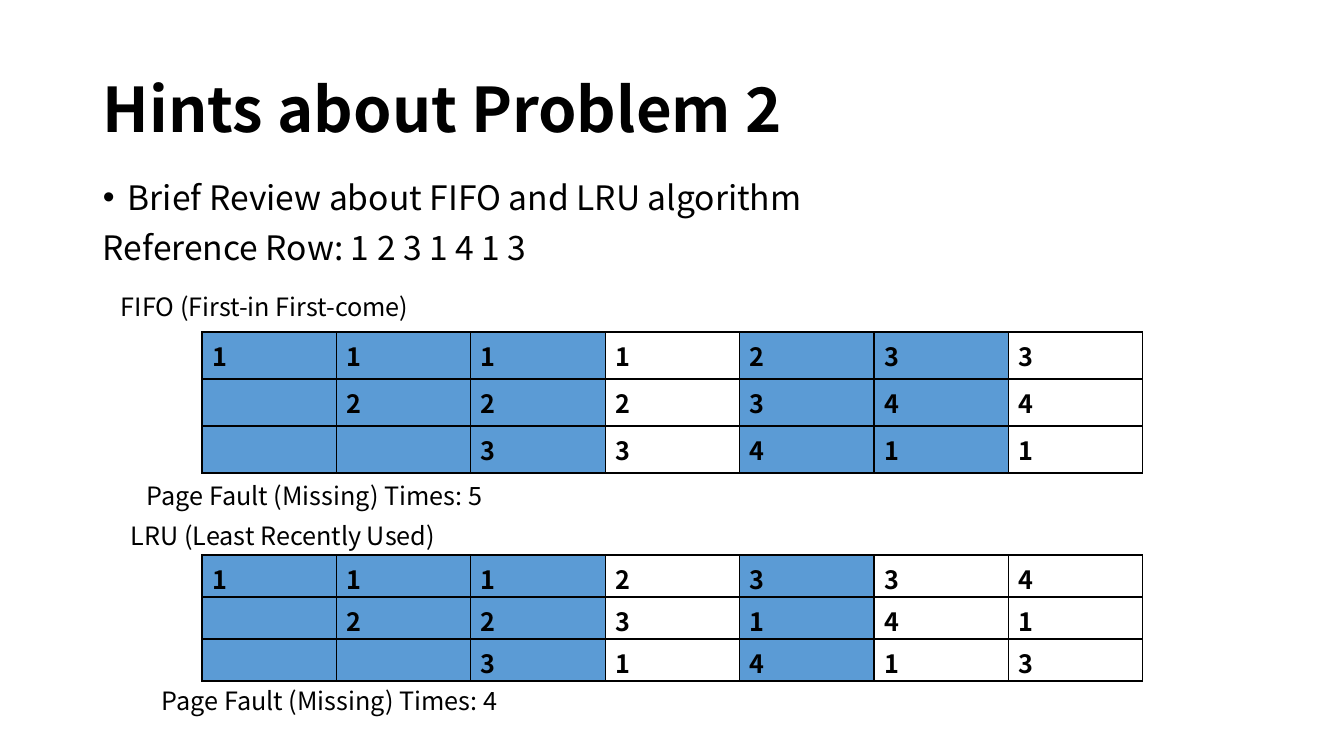
from dataclasses import dataclass

from lxml.etree import SubElement
from pptx import Presentation
from pptx.dml.color import RGBColor
from pptx.enum.text import MSO_ANCHOR as Anchor, MSO_AUTO_SIZE as Fit
from pptx.oxml.ns import qn
from pptx.util import Emu, Pt

BLACK = RGBColor(0x00, 0x00, 0x00)
BLUE = RGBColor(0x5B, 0x9B, 0xD5)
FONT = "Noto Sans CJK SC"
PX_PER_INCH = 100.8
LEFT, WIDTH = 202, 941


def px(n: int) -> Emu:
    return Emu(round(n * 914400 / PX_PER_INCH))


@dataclass
class Label:
    text: str
    left: int
    top: int


@dataclass
class Trace:
    """Frames after each reference; fault columns are shaded."""
    top: int
    row: int
    foot: int
    frames: list[str]
    faults: set[int]


LABELS = [
    Label("FIFO (First-in First-come)", 111, 286),
    Label("LRU (Least Recently Used)", 121, 515),
    Label("Page Fault (Missing) Times: 5", 137, 475),
    Label("Page Fault (Missing) Times: 4", 152, 680),
]
TRACES = [
    Trace(332, 47, 5, ["1111233", " 222344", "  33411"], {0, 1, 2, 4, 5}),
    Trace(555, 42, 0, ["1112334", " 223141", "  31413"], {0, 1, 2, 4}),
]


def style(para, size: int, bold: bool = False) -> None:
    font = para.font
    font.name, font.size, font.bold = FONT, Pt(size), bold
    font.color.rgb = BLACK


def add_box(slide, left: int, top: int, width: int, height: int):
    frame = slide.shapes.add_textbox(px(left), px(top), px(width), px(height)).text_frame
    frame.word_wrap = True
    return frame


def add_title(slide) -> None:
    frame = add_box(slide, 93, 40, 1159, 146)
    frame.vertical_anchor = Anchor.MIDDLE
    frame.text = "Hints about Problem 2"
    para = frame.paragraphs[0]
    para.line_spacing = 0.9
    style(para, 44, True)


def add_body(slide) -> None:
    frame = add_box(slide, 93, 176, 1159, 480)
    frame.text = "Brief Review about FIFO and LRU algorithm\nReference Row: 1 2 3 1 4 1 3"
    first, second = frame.paragraphs
    props = first._p.get_or_add_pPr()
    props.set("marL", str(px(25)))
    props.set("indent", str(-px(25)))
    SubElement(props, qn("a:buFont"), typeface="Arial")
    SubElement(props, qn("a:buChar"), char="•")
    second.space_before = Pt(10)
    for para in (first, second):
        para.line_spacing = 0.9
        style(para, 24)


def add_label(slide, label: Label) -> None:
    frame = add_box(slide, label.left, label.top, 448, 40)
    frame.auto_size = Fit.SHAPE_TO_FIT_TEXT
    frame.text = label.text
    style(frame.paragraphs[0], 18)


def add_edges(cell) -> None:
    props = cell._tc.get_or_add_tcPr()
    for side in ("lnL", "lnR", "lnT", "lnB"):
        line = SubElement(props, qn(f"a:{side}"), w=str(Pt(1)))
        fill = SubElement(line, qn("a:solidFill"))
        SubElement(fill, qn("a:srgbClr"), val=str(BLACK))


def add_trace(slide, trace: Trace) -> None:
    rows, cols = len(trace.frames), len(trace.frames[0])
    table = slide.shapes.add_table(
        rows, cols, px(LEFT), px(trace.top), px(WIDTH), px(rows * trace.row)
    ).table
    table.first_row = table.horz_banding = False
    for r, pages in enumerate(trace.frames):
        for c, page in enumerate(pages):
            cell = table.cell(r, c)
            cell.text = page.strip()
            cell.margin_bottom = px(trace.foot)
            style(cell.text_frame.paragraphs[0], 18, True)
            add_edges(cell)
            if c in trace.faults:
                cell.fill.solid()
                cell.fill.fore_color.rgb = BLUE
            else:
                cell.fill.background()


def main() -> None:
    deck = Presentation()
    deck.slide_width, deck.slide_height = px(1344), px(756)
    slide = deck.slides.add_slide(deck.slide_layouts[6])
    add_title(slide)
    add_body(slide)
    for trace in TRACES:
        add_trace(slide, trace)
    for label in LABELS:
        add_label(slide, label)
    deck.save("out.pptx")


if __name__ == "__main__":
    main()
